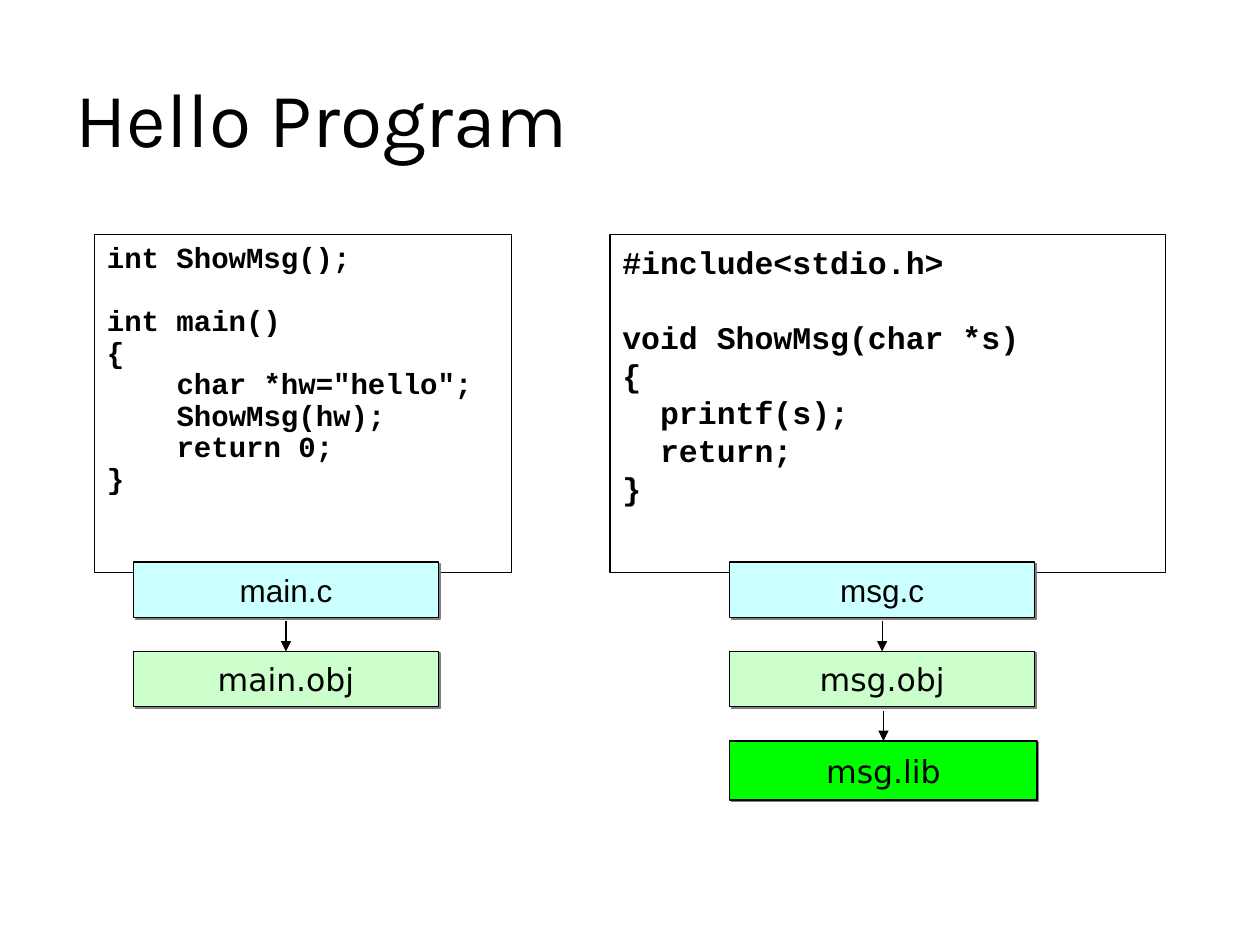
from lxml import etree
from pptx import Presentation
from pptx.dml.color import RGBColor
from pptx.enum.shapes import MSO_CONNECTOR, MSO_SHAPE
from pptx.enum.text import MSO_ANCHOR, PP_ALIGN
from pptx.oxml import parse_xml
from pptx.oxml.ns import nsdecls, qn
from pptx.util import Pt

RECTANGLE = MSO_SHAPE.RECTANGLE
STRAIGHT = MSO_CONNECTOR.STRAIGHT
MIDDLE, TOP = MSO_ANCHOR.MIDDLE, MSO_ANCHOR.TOP
CENTER, LEFT = PP_ALIGN.CENTER, PP_ALIGN.LEFT
TOP_SIDE = 0

BLACK = RGBColor(0x00, 0x00, 0x00)
PALE_CYAN = RGBColor(0xCC, 0xFF, 0xFF)
PALE_GREEN = RGBColor(0xCC, 0xFF, 0xCC)
GREEN = RGBColor(0x00, 0xFF, 0x00)

CODE_TOP, CODE_HEIGHT = 134, 193
STAGE_TOP, STAGE_PITCH = 321.1, 51.15
STAGE_SIZE, LIBRARY_SIZE = (174.2, 31.7), (175.7, 33.8)
ARROW_LENGTH = 17.2

MAIN_CODE = """int ShowMsg();

int main()
{
    char *hw="hello";
    ShowMsg(hw);
    return 0;
}"""

MESSAGE_CODE = """#include<stdio.h>

void ShowMsg(char *s)
{
  printf(s);
  return;
}"""

SHADOW = (
    f'<a:effectLst {nsdecls("a")}>'
    '<a:outerShdw blurRad="0" dist="17780" dir="2700000" algn="tl" rotWithShape="0">'
    '<a:srgbClr val="808080"/></a:outerShdw></a:effectLst>'
)


class ProgramSlide:
    code_font, title_font = "Courier New", "Karla"
    line_width = 0.75
    monospace_ratio = 0.6

    def __init__(self, slide):
        self.shapes = slide.shapes

    def format_font(self, font, **values):
        font.color.rgb = BLACK
        for name, value in values.items():
            setattr(font, name, value)

    def title(self, words, left, top, width, height):
        box = self.shapes.add_textbox(Pt(left), Pt(top), Pt(width), Pt(height))
        frame = box.text_frame
        frame.word_wrap = True
        frame.vertical_anchor = MIDDLE
        frame.text = words
        self.format_font(frame.paragraphs[0].font, name=self.title_font, size=Pt(44))

    def rectangle(self, left, top, width, height, fill=None):
        box = self.shapes.add_shape(RECTANGLE, Pt(left), Pt(top), Pt(width), Pt(height))
        box.shadow.inherit = False
        box.line.color.rgb = BLACK
        box.line.width = Pt(self.line_width)
        if fill is None:
            box.fill.background()
        else:
            box.fill.solid()
            box.fill.fore_color.rgb = fill
        return box

    def code(self, source, left, width, size, pitch):
        """Set one paragraph per code line; empty lines become space before the next."""
        frame = self.rectangle(left, CODE_TOP, width, CODE_HEIGHT).text_frame
        frame.word_wrap = True
        frame.vertical_anchor = TOP
        frame.margin_top = Pt(5)
        gap = 0
        paragraph = frame.paragraphs[0]
        for number, line in enumerate(source.splitlines()):
            if not line:
                gap += pitch
                continue
            if number:
                paragraph = frame.add_paragraph()
            words = line.lstrip()
            indent = (len(line) - len(words)) * size * self.monospace_ratio
            paragraph.text = words
            paragraph.alignment = LEFT
            paragraph.line_spacing = Pt(pitch)
            paragraph.space_before = Pt(gap)
            paragraph._p.get_or_add_pPr().set("marL", str(Pt(indent)))
            self.format_font(paragraph.font, name=self.code_font, size=Pt(size), bold=True)
            gap = 0

    def stage(self, words, left, top, size, fill, font_name):
        box = self.rectangle(left, top, *size, fill)
        properties = box._element.spPr
        properties.replace(properties.find(qn("a:effectLst")), parse_xml(SHADOW))
        frame = box.text_frame
        frame.word_wrap = False
        frame.vertical_anchor = MIDDLE
        frame.text = words
        frame.paragraphs[0].alignment = CENTER
        self.format_font(frame.paragraphs[0].font, name=font_name, size=Pt(18))
        return box

    def arrow_into(self, box):
        center = box.left + box.width // 2
        arrow = self.shapes.add_connector(
            STRAIGHT, center, box.top - Pt(ARROW_LENGTH), center, box.top)
        arrow.end_connect(box, TOP_SIDE)
        arrow.line.color.rgb = BLACK
        arrow.line.width = Pt(self.line_width)
        etree.SubElement(arrow.line._get_or_add_ln(), qn("a:tailEnd"), type="triangle")
        etree.SubElement(arrow._element.spPr, qn("a:effectLst"))

    def build_chain(self, left, stages):
        """Stack the build stages downwards, with an arrow into each but the first."""
        for step, (words, *look) in enumerate(stages):
            box = self.stage(words, left, STAGE_TOP + step * STAGE_PITCH, *look)
            if step:
                self.arrow_into(box)


def main():
    presentation = Presentation()
    presentation.slide_width, presentation.slide_height = Pt(720), Pt(540)
    slide = ProgramSlide(presentation.slides.add_slide(presentation.slide_layouts[6]))

    slide.title("Hello Program", 36, 21.6, 648, 90)
    slide.code(MAIN_CODE, 54, 238.3, 16.6, 18)
    slide.code(MESSAGE_CODE, 348.5, 317.5, 18, 21.5)

    source_look = (STAGE_SIZE, PALE_CYAN, "Arial")
    object_look = (STAGE_SIZE, PALE_GREEN, "DejaVu Sans")
    library_look = (LIBRARY_SIZE, GREEN, "DejaVu Sans")
    slide.build_chain(76.3, [("main.c", *source_look), ("main.obj", *object_look)])
    slide.build_chain(417, [
        ("msg.c", *source_look),
        ("msg.obj", *object_look),
        ("msg.lib", *library_look),
    ])
    presentation.save("out.pptx")


if __name__ == "__main__":
    main()
